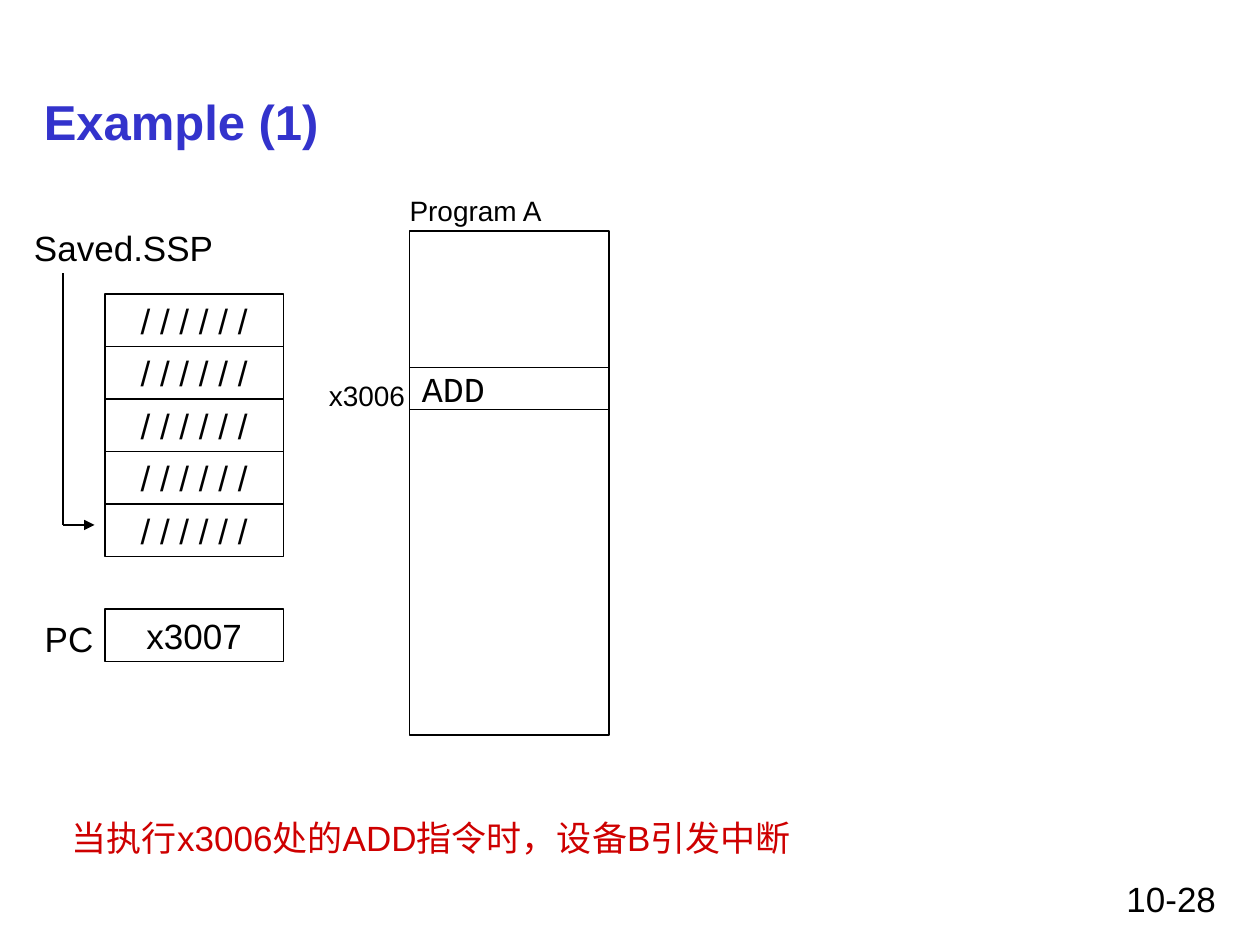
from dataclasses import dataclass

from lxml import etree
from pptx import Presentation
from pptx.dml.color import RGBColor
from pptx.enum import shapes, text
from pptx.oxml import ns
from pptx.util import Pt


@dataclass(frozen=True)
class Theme:
    """Colours, fonts and sizes of the slide."""
    ink: RGBColor = RGBColor(0x00, 0x00, 0x00)
    heading: RGBColor = RGBColor(0x33, 0x33, 0xCC)
    alert: RGBColor = RGBColor(0xCE, 0x00, 0x00)
    sans: str = "Arial"
    mono: str = "Courier New"
    title: int = 28
    body: int = 20
    small: int = 16
    border: float = 0.75
    arrow: float = 1.5


THEME = Theme()
LEFT, CENTER, RIGHT = (text.PP_ALIGN.LEFT, text.PP_ALIGN.CENTER, text.PP_ALIGN.RIGHT)


def write(frame, words, size=THEME.body, color=THEME.ink, font=THEME.sans,
          align=LEFT, bold=False, wrap=False):
    """Put one run of styled words into a text frame."""
    frame.word_wrap = wrap
    paragraph = frame.paragraphs[0]
    paragraph.alignment = align
    run = paragraph.add_run()
    run.text = words
    run.font.size = Pt(size)
    run.font.name = font
    run.font.bold = bold
    run.font.color.rgb = color


def label(slide, box, words, middle=False, wrap=False, **style):
    """Add a text box that grows with its words unless they wrap."""
    frame = slide.shapes.add_textbox(*map(Pt, box)).text_frame
    if middle:
        frame.vertical_anchor = text.MSO_ANCHOR.MIDDLE
    write(frame, words, wrap=wrap, **style)
    if not wrap:
        frame.auto_size = text.MSO_AUTO_SIZE.SHAPE_TO_FIT_TEXT


def cell(slide, box, words="", **style):
    """Add an outlined memory cell, with words if there are any."""
    outline = slide.shapes.add_shape(shapes.MSO_SHAPE.RECTANGLE, *map(Pt, box))
    outline.shadow.inherit = False
    outline.fill.background()
    outline.line.color.rgb = THEME.ink
    outline.line.width = Pt(THEME.border)
    if words:
        outline.text_frame.vertical_anchor = text.MSO_ANCHOR.MIDDLE
        write(outline.text_frame, words, **style)


def pointer(slide, start, end, head=False):
    """Draw a straight line, with an arrowhead at its end if asked."""
    line = slide.shapes.add_connector(
        shapes.MSO_CONNECTOR.STRAIGHT, *map(Pt, (*start, *end)))
    line.line.color.rgb = THEME.ink
    line.line.width = Pt(THEME.arrow)
    if head:
        etree.SubElement(line.line._get_or_add_ln(), ns.qn("a:tailEnd"), type="triangle")
    etree.SubElement(line._element.spPr, ns.qn("a:effectLst"))


def stack(slide, box, rows):
    """Draw the supervisor stack with its saved pointer."""
    left, top, width, height = box
    row = height / rows
    for index in range(rows):
        cell(slide, (left, top + index * row, width, row), "/ / / / / /", align=CENTER)
    label(slide, (left - 48, top - 42, 117, 32), "Saved.SSP", align=RIGHT)
    corner = (left - 24, top + height - row * 0.6)
    pointer(slide, corner, (left - 6, corner[1]), head=True)
    pointer(slide, corner, (corner[0], top - 12))


def program_counter(slide, box):
    """Draw the program counter register and its label."""
    left, top, _, _ = box
    cell(slide, box, "x3007", align=CENTER)
    label(slide, (left - 41.5, top + 1.5, 42, 32), "PC", align=RIGHT)


def program(slide, box):
    """Draw the memory of program A with the current instruction."""
    left, top, width, _ = box
    cell(slide, box)
    label(slide, (left - 7, top - 25.2, 91, 27), "Program A", size=THEME.small)
    cell(slide, (left, top + 78, width, 24), "ADD", font=THEME.mono)
    label(slide, (left - 53.5, top + 80.5, 58, 27), "x3006",
          size=THEME.small, align=RIGHT)


def main():
    """Build the slide and save it."""
    deck = Presentation()
    deck.slide_width, deck.slide_height = Pt(720), Pt(540)
    slide = deck.slides.add_slide(deck.slide_layouts[6])
    label(slide, (18, 48, 684, 42), "Example (1)", middle=True, wrap=True,
          size=THEME.title, color=THEME.heading, bold=True)
    stack(slide, (60, 168, 102, 150), 5)
    program_counter(slide, (60, 348, 102, 30))
    program(slide, (234, 132, 114, 288))
    label(slide, (34, 463, 454, 32), "当执行x3006处的ADD指令时，设备B引发中断",
          color=THEME.alert)
    label(slide, (516, 498, 186, 30), "10-28", align=RIGHT, wrap=True)
    deck.save("out.pptx")


if __name__ == "__main__":
    main()
